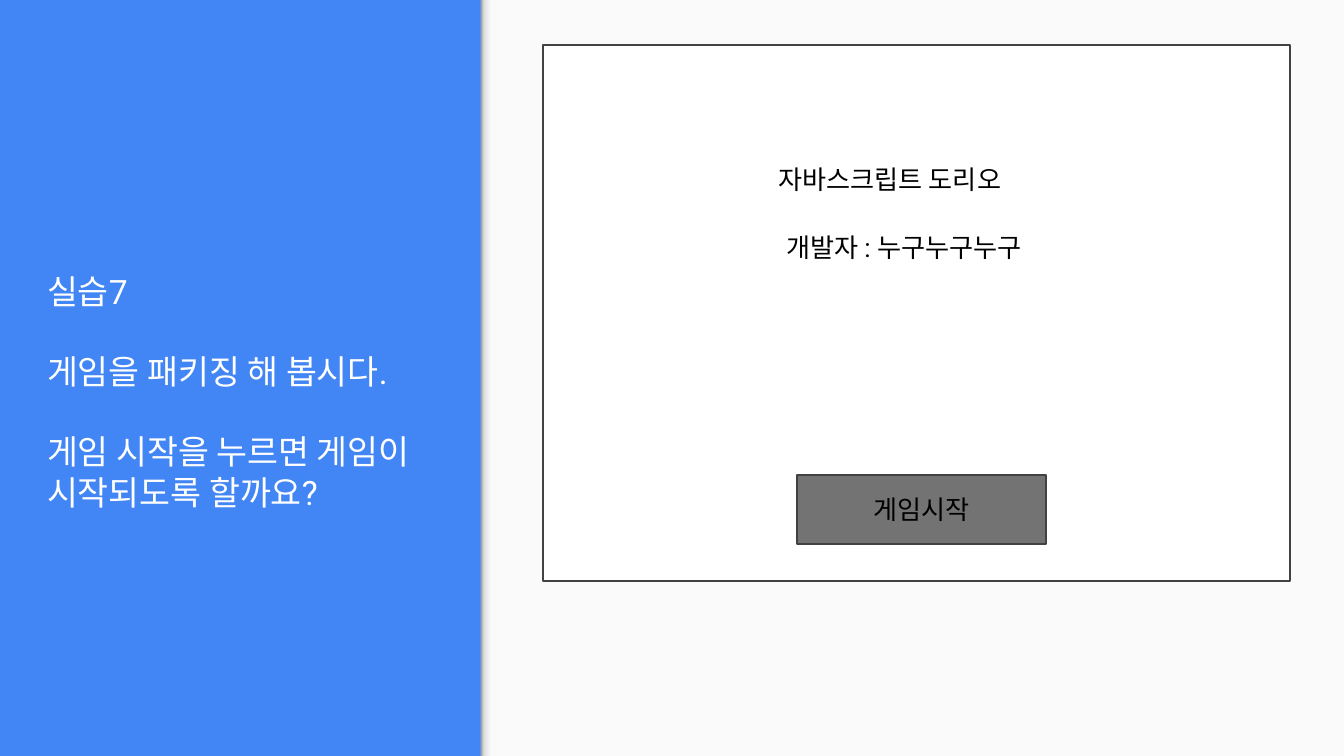
from copy import deepcopy

from pptx import Presentation
from pptx import util as u
from pptx.dml.color import RGBColor
from pptx.enum import shapes, text

SCALE = 914400 / 134.4
WIDE, HIGH = 1344, 756
EDGE = 481
PAD = 13
HEX = {
    "blue": "4285F4",
    "pale": "FAFAFA",
    "white": "FFFFFF",
    "black": "000000",
    "line": "424242",
    "gray": "737373",
}
FADE = [(0, "999999"), (0.2, "DEDEDE"), (0.64, "F9F9F9"), (1, "F9F9F9")]
TITLE = ["실습7", "게임을 패키징 해 봅시다.", "게임 시작을 누르면 게임이 시작되도록 할까요?"]


def px(n):
    return u.Emu(round(n * SCALE))


def tint(name):
    return RGBColor.from_string(HEX[name])


def write(shape, lines, size, color, font="Roboto", align="CENTER", anchor="TOP", gap=0):
    frame = shape.text_frame
    frame.word_wrap = True
    frame.auto_size = text.MSO_AUTO_SIZE.NONE
    frame.vertical_anchor = text.MSO_ANCHOR[anchor]
    frame.margin_left = frame.margin_right = px(PAD)
    frame.margin_top = frame.margin_bottom = px(PAD)
    frame.text = "\n".join(lines)
    for i, para in enumerate(frame.paragraphs):
        para.alignment = text.PP_ALIGN[align]
        para.space_before = u.Pt(gap if i else 0)
        para.font.size = u.Pt(size)
        para.font.name = font
        para.font.color.rgb = tint(color)


def rect(slide, box, fill=None, line=None):
    shape = slide.shapes.add_shape(shapes.MSO_SHAPE.RECTANGLE, *map(px, box))
    shape.shadow.inherit = False
    if fill:
        shape.fill.solid()
        shape.fill.fore_color.rgb = tint(fill)
    if line:
        shape.line.color.rgb = tint(line)
        shape.line.width = u.Pt(0.75)
    else:
        shape.line.fill.background()
    return shape


def fade(slide, box):
    fill = rect(slide, box).fill
    fill.gradient()
    fill.gradient_angle = 0
    stops = fill.gradient_stops
    first = stops[0]._gs
    for _ in range(len(FADE) - len(stops)):
        first.addnext(deepcopy(first))
    for stop, (at, color) in zip(fill.gradient_stops, FADE):
        stop.position = at
        stop.color.rgb = RGBColor.from_string(color)


def label(slide, box, words):
    shape = slide.shapes.add_textbox(*map(px, box))
    write(shape, [words], 14, "black")


def head(slide, box):
    title = slide.shapes.title
    title.left, title.top, title.width, title.height = map(px, box)
    write(title, TITLE, 18, "white", align="LEFT", anchor="BOTTOM", gap=21.5)


def main():
    deck = Presentation()
    deck.slide_width, deck.slide_height = px(WIDE), px(HIGH)
    slide = deck.slides.add_slide(deck.slide_layouts[5])
    back = slide.background.fill
    back.solid()
    back.fore_color.rgb = tint("blue")

    rect(slide, (EDGE, 0, WIDE - EDGE, HIGH), "pale")
    fade(slide, (EDGE, 0, 16, HIGH))
    head(slide, (34, 52, 413, 473))
    rect(slide, (543, 45, 747, 536), "white", "line")
    label(slide, (700, 150, 380, 59), "자바스크립트 도리오")
    label(slide, (714, 218, 380, 59), "개발자 : 누구누구누구")
    start = rect(slide, (797, 475, 249, 69), "gray", "line")
    write(start, ["게임시작"], 14, "black", font="Arial", anchor="MIDDLE")
    deck.save("out.pptx")


if __name__ == "__main__":
    main()
